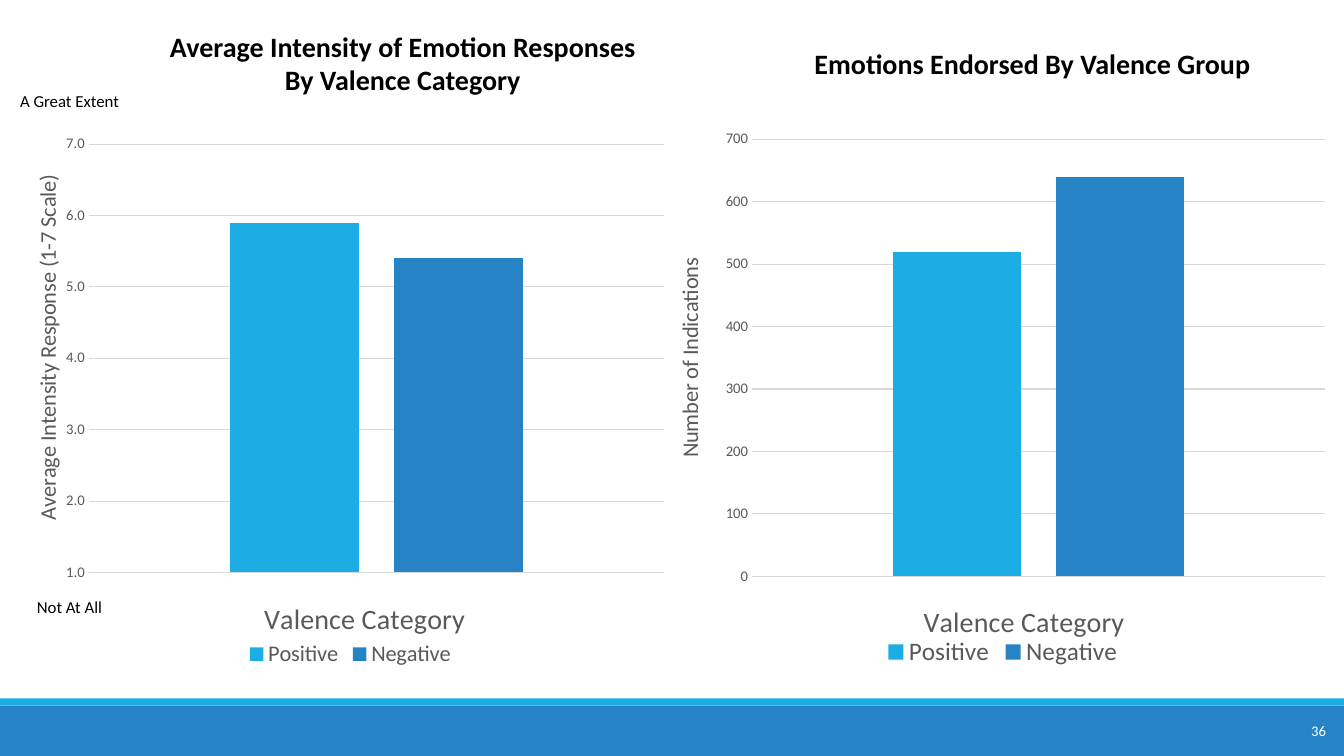
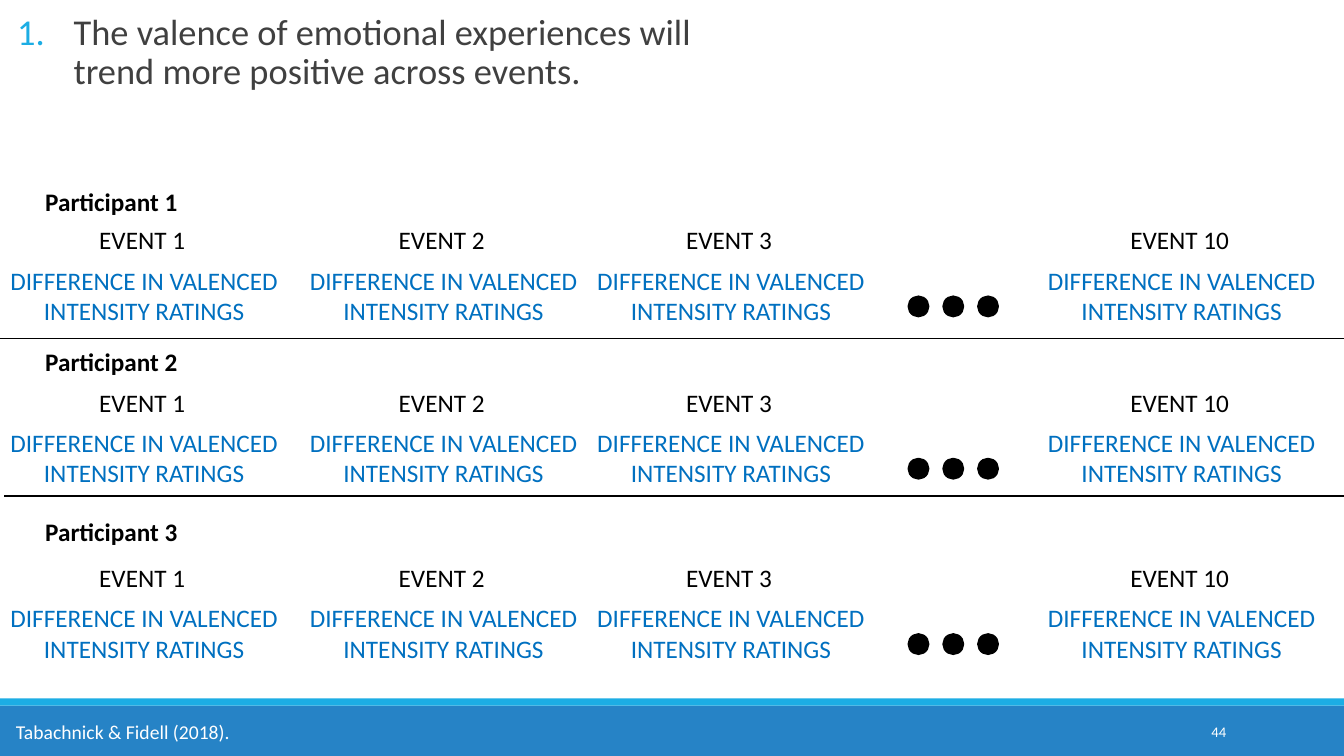
"""Build two slides: emotion valence charts and an event-by-participant layout."""
from lxml import etree
from pptx import Presentation
from pptx.chart.data import CategoryChartData
from pptx.dml.color import RGBColor
from pptx.enum.chart import XL_CHART_TYPE, XL_LEGEND_POSITION, XL_TICK_MARK
from pptx.enum.shapes import MSO_CONNECTOR, MSO_SHAPE
from pptx.enum.text import MSO_ANCHOR, MSO_AUTO_SIZE, PP_ALIGN
from pptx.oxml.ns import qn
from pptx.util import Inches, Pt

FONT = "Calibri"
C = {
    "sky": "1CADE4", "blue": "2683C6", "link": "0070C0", "black": "000000",
    "white": "FFFFFF", "dark": "404040", "gray": "595959", "grid": "D9D9D9",
}
RGB = {name: RGBColor.from_string(value) for name, value in C.items()}


def add_text(s, text, x, y, w, h, size=18, color="black", bold=False,
             align=PP_ALIGN.LEFT, anchor=MSO_ANCHOR.TOP, inset=0.1):
    tf = s.shapes.add_textbox(Inches(x), Inches(y), Inches(w), Inches(h)).text_frame
    tf.word_wrap = True
    tf.vertical_anchor = anchor
    tf.margin_left = tf.margin_right = Inches(inset)
    p = tf.paragraphs[0]
    p.alignment = align
    r = p.add_run()
    r.text = text
    r.font.name, r.font.size, r.font.bold = FONT, Pt(size), bold
    r.font.color.rgb = RGB[color]


def make_layout(frame, x, y, w=None, h=None):
    left, top, width, height = frame
    layout = etree.Element(qn("c:layout"))
    manual = etree.SubElement(layout, qn("c:manualLayout"))
    values = {"xMode": "edge", "yMode": "edge", "x": (x - left) / width, "y": (y - top) / height}
    if w is not None:
        values = {"layoutTarget": "inner", **values, "w": w / width, "h": h / height}
    for key, value in values.items():
        etree.SubElement(manual, qn(f"c:{key}")).set("val", str(value))
    return layout


prs = Presentation()
prs.slide_width, prs.slide_height = Inches(13.33), Inches(7.5)
chart_slide = prs.slides.add_slide(prs.slide_layouts[6])
event_slide = prs.slides.add_slide(prs.slide_layouts[1])

for s, number, x, y in [(chart_slide, "36", 11.82, 7.05), (event_slide, "44", 10.83, 7.06)]:
    for top, height, color in [(7, 0.5, "blue"), (6.93, 0.07, "sky")]:
        sp = s.shapes.add_shape(MSO_SHAPE.RECTANGLE, 0, Inches(top), prs.slide_width, Inches(height))
        sp.shadow.inherit = False
        sp.fill.solid()
        sp.fill.fore_color.rgb = RGB[color]
        sp.line.fill.background()
    add_text(s, number, x, y, 1.43, 0.4, size=10.5, color="white",
             align=PP_ALIGN.RIGHT, anchor=MSO_ANCHOR.MIDDLE)

CHARTS = [
    dict(frame=(0.28, 0.72, 6.39, 5.95), values=(5.9, 5.4), scale=(1, 7, 1), fmt="0.0", legend=16,
         title="Average Intensity Response (1-7 Scale)", plot=(0.88, 1.43, 5.71, 4.25),
         value_at=(0.28, 1.69), category_at=(2.57, 5.89)),
    dict(frame=(6.61, 1.22, 6.67, 5.45), values=(520, 640), scale=(0, 700, 100), fmt="General", legend=18,
         title="Number of Indications", plot=(7.46, 1.38, 5.68, 4.34),
         value_at=(6.65, 2.52), category_at=(9.11, 5.92)),
]
for item in CHARTS:
    frame = item["frame"]
    data = CategoryChartData()
    data.categories = ["1"]
    for name, value in zip(("Positive", "Negative"), item["values"]):
        data.add_series(name, [value])
    chart = chart_slide.shapes.add_chart(
        XL_CHART_TYPE.COLUMN_CLUSTERED, *map(Inches, frame), data).chart
    chart.has_title = False
    chart.font.name, chart.font.size = FONT, Pt(10.5)
    chart.font.color.rgb = RGB["gray"]

    plot = chart.plots[0]
    plot.vary_by_categories = False
    plot.gap_width, plot.overlap = 219, -27
    for series, color in zip(plot.series, ("sky", "blue")):
        series.format.fill.solid()
        series.format.fill.fore_color.rgb = RGB[color]

    chart.has_legend = True
    legend = chart.legend
    legend.position, legend.include_in_layout = XL_LEGEND_POSITION.BOTTOM, False
    legend.font.name, legend.font.size = FONT, Pt(item["legend"])
    legend.font.color.rgb = RGB["gray"]

    axis = chart.value_axis
    axis.minimum_scale, axis.maximum_scale, axis.major_unit = item["scale"]
    axis.major_tick_mark = axis.minor_tick_mark = XL_TICK_MARK.NONE
    axis.tick_labels.number_format = item["fmt"]
    axis.tick_labels.number_format_is_linked = False
    axis.format.line.fill.background()
    axis.major_gridlines.format.line.color.rgb = RGB["grid"]
    axis.major_gridlines.format.line.width = Pt(0.75)
    chart.category_axis.visible = False

    for ax, text, size, place in [
        (axis, item["title"], 16, item["value_at"]),
        (chart.category_axis, "Valence Category", 20, item["category_at"]),
    ]:
        tf = ax.axis_title.text_frame
        if ax is axis:
            tf._txBody.bodyPr.set("rot", "-5400000")
            tf._txBody.bodyPr.set("vert", "horz")
        r = tf.paragraphs[0].add_run()
        r.text = text
        r.font.name, r.font.size, r.font.bold = FONT, Pt(size), False
        r.font.color.rgb = RGB["gray"]
        title = ax.axis_title._element
        for old in title.findall(qn("c:layout")):
            title.remove(old)
        title.find(qn("c:tx")).addnext(make_layout(frame, *place))

    area = chart._chartSpace.find(".//" + qn("c:plotArea"))
    for old in area.findall(qn("c:layout")):
        area.remove(old)
    area.insert(0, make_layout(frame, *item["plot"]))

add_text(chart_slide, "Average Intensity of Emotion Responses By Valence Category",
         1.54, 0.24, 4.91, 0.77, size=20, bold=True, align=PP_ALIGN.CENTER)
add_text(chart_slide, "Emotions Endorsed By Valence Group", 7.98, 0.41, 4.7, 0.44, size=20, bold=True)
add_text(chart_slide, "A Great Extent", 0, 0.85, 1.38, 0.3, size=12, align=PP_ALIGN.CENTER)
add_text(chart_slide, "Not At All", 0.21, 5.87, 0.96, 0.3, size=12, align=PP_ALIGN.CENTER)

s = event_slide
title = s.shapes.title
title._element.getparent().remove(title._element)
body = s.placeholders[1]
body.left, body.top, body.width, body.height = map(Inches, (0.17, 0.09, 7.38, 4.52))
tf = body.text_frame
tf.word_wrap, tf.auto_size = True, MSO_AUTO_SIZE.NONE
tf.vertical_anchor = MSO_ANCHOR.TOP
tf.margin_left = tf.margin_right = 0
p = tf.paragraphs[0]
pPr = p._p.get_or_add_pPr()
pPr.set("marL", str(Inches(0.56)))
pPr.set("indent", str(-Inches(0.56)))
color = etree.SubElement(pPr, qn("a:buClr"))
etree.SubElement(color, qn("a:srgbClr")).set("val", C["sky"])
etree.SubElement(pPr, qn("a:buFont")).set("typeface", FONT)
etree.SubElement(pPr, qn("a:buAutoNum")).set("type", "arabicPeriod")
p.alignment = PP_ALIGN.LEFT
p.line_spacing, p.space_before, p.space_after = 0.9, Pt(0), Pt(2)
r = p.add_run()
r.text = "The valence of emotional experiences will trend more positive across events."
r.font.name, r.font.size = FONT, Pt(26)
r.font.color.rgb = RGB["dark"]

COLUMN_W = 2.86
EVENTS = [("EVENT 1", 0), ("EVENT 2", 2.97), ("EVENT 3", 5.82), ("EVENT 10", 10.29)]
ROWS = [("Participant 1", 1.8, 2.18), ("Participant 2", 3.39, 3.79), ("Participant 3", 5.07, 5.53)]
for participant, name_y, event_y in ROWS:
    add_text(s, participant, 0.35, name_y, 1.6, 0.4, bold=True)
    for event, x in EVENTS:
        add_text(s, event, x, event_y, COLUMN_W - 0.04, 0.4, align=PP_ALIGN.CENTER)
        add_text(s, "DIFFERENCE IN VALENCED INTENSITY RATINGS", x, event_y + 0.4, COLUMN_W, 0.71,
                 color="link", align=PP_ALIGN.CENTER, inset=0.05)
    for i in range(3):
        dot = s.shapes.add_shape(MSO_SHAPE.OVAL, Inches(9.01 + 0.69 * i / 2), Inches(event_y + 0.76),
                                 Inches(0.2), Inches(0.2))
        dot.shadow.inherit = False
        dot.fill.solid()
        dot.fill.fore_color.rgb = dot.line.color.rgb = RGB["black"]
        dot.line.width = Pt(1.25)

for x, y in [(0, 3.36), (0.04, 4.92)]:
    rule = s.shapes.add_connector(MSO_CONNECTOR.STRAIGHT, Inches(x), Inches(y), Inches(13.33), Inches(y))
    rule.line.color.rgb = RGB["black"]
    rule.line.width = Pt(1)
    etree.SubElement(rule._element.spPr, qn("a:effectLst"))

add_text(s, "Tabachnick & Fidell (2018).", 0.06, 7.09, 2.6, 0.34, size=14, color="white")

prs.save("out.pptx")
